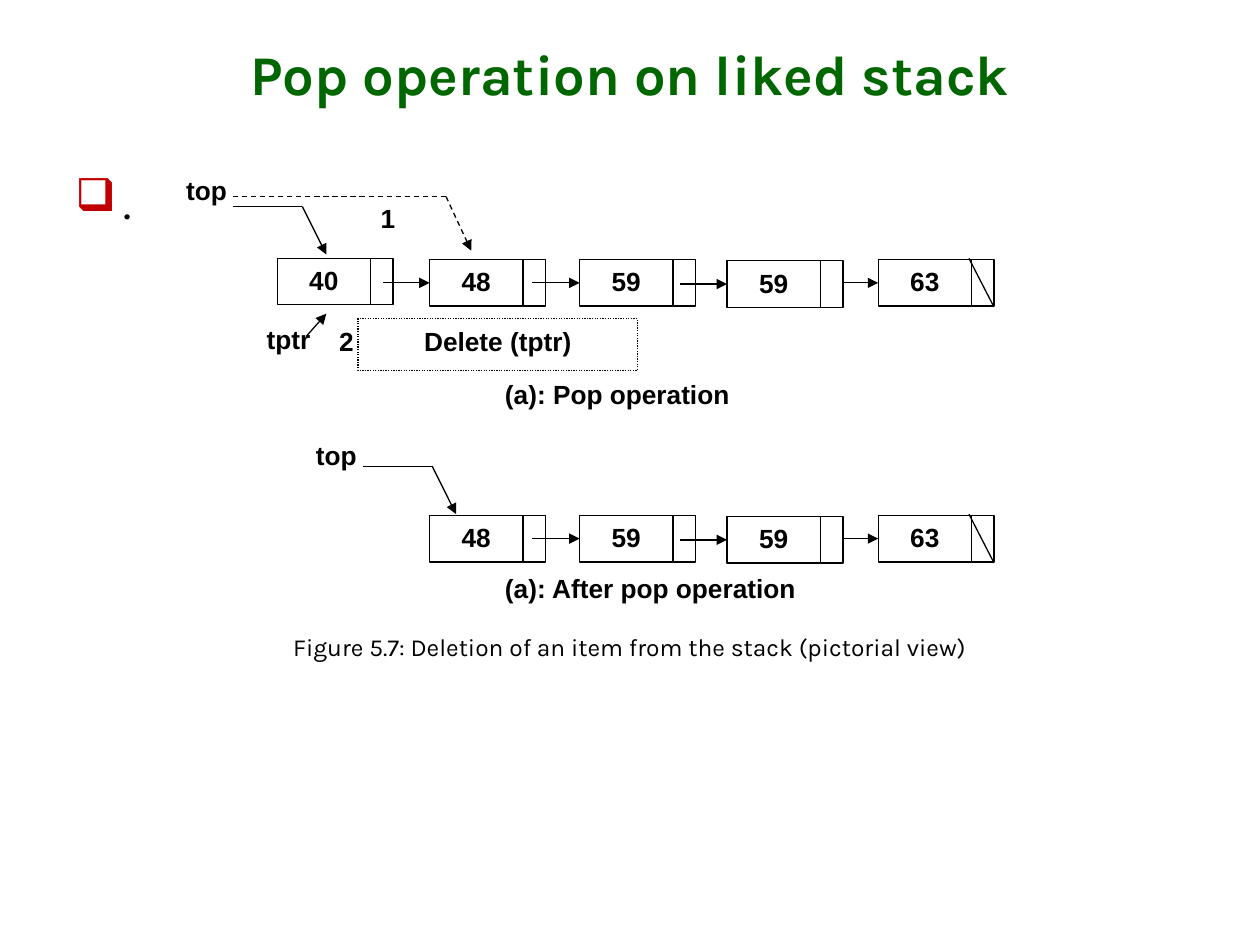
from lxml.etree import SubElement
from pptx import Presentation
from pptx.dml.color import RGBColor
from pptx.enum.dml import MSO_LINE
from pptx.enum.shapes import MSO_CONNECTOR, MSO_SHAPE
from pptx.enum.text import MSO_ANCHOR, PP_ALIGN
from pptx.oxml.ns import qn
from pptx.util import Inches, Pt

GREEN = RGBColor(0x00, 0x66, 0x00)
RED = RGBColor(0xC0, 0x00, 0x00)
BLACK = RGBColor(0, 0, 0)
WHITE = RGBColor(255, 255, 255)

TITLE = "Pop operation on liked stack"
CAPTION = "Figure 5.7: Deletion of an item from the stack (pictorial view)"

# text, left, top, width, alignment
LABELS = [
    ("(a): Pop operation", 3.91, 2.95, 2.6, PP_ALIGN.LEFT),
    ("2", 2.47, 2.53, 0.56, PP_ALIGN.CENTER),
    ("1", 2.8, 1.56, 0.56, PP_ALIGN.CENTER),
    ("top", 1.27, 1.33, 0.74, PP_ALIGN.CENTER),
    ("tptr", 1.92, 2.52, 0.74, PP_ALIGN.CENTER),
    ("top", 2.3, 3.44, 0.74, PP_ALIGN.CENTER),
    ("(a): After pop operation", 3.91, 4.49, 3.34, PP_ALIGN.LEFT),
]
# value, left, vertical shift, start of the link to the next node
NODES = [
    ("40", 2.2, -0.01, 3.04),
    ("48", 3.41, 0, 4.22),
    ("59", 4.6, 0, 5.4),
    ("59", 5.77, 0.01, 6.69),
    ("63", 6.97, 0, None),
]
# nodes, top of the row, left end and height of the "top" pointer
ROWS = [(NODES, 2.06, 1.85, 1.64), (NODES[1:], 4.09, 2.88, 3.7)]
DATA_W, LINK_W, NODE_H = 0.74, 0.18, 0.37


def style(p, text, size, font, color=BLACK, bold=False, align=PP_ALIGN.CENTER):
    p.text = text
    p.alignment = align
    f = p.runs[0].font
    f.size, f.name, f.bold = Pt(size), font, bold
    f.color.rgb = color


def add_box(x, y, w, h, text="", align=PP_ALIGN.CENTER, outlined=True):
    s = slide.shapes.add_shape(MSO_SHAPE.RECTANGLE, Inches(x), Inches(y), Inches(w), Inches(h))
    s.shadow.inherit = False
    s.fill.solid()
    s.fill.fore_color.rgb = WHITE
    if outlined:
        s.line.color.rgb = BLACK
        s.line.width = Pt(0.75)
    else:
        s.line.fill.background()
    if text:
        tf = s.text_frame
        tf.vertical_anchor = MSO_ANCHOR.TOP
        style(tf.paragraphs[0], text, 15, "Arial", bold=True, align=align)
    return s


def add_line(x1, y1, x2, y2, arrow=False, dashed=False):
    c = slide.shapes.add_connector(
        MSO_CONNECTOR.STRAIGHT, Inches(x1), Inches(y1), Inches(x2), Inches(y2))
    c.line.color.rgb = BLACK
    c.line.width = Pt(0.75)
    if dashed:
        c.line.dash_style = MSO_LINE.DASH
    if arrow:
        SubElement(c.line._get_or_add_ln(), qn("a:tailEnd"), type="triangle")
    SubElement(c._element.spPr, qn("a:effectLst"))


def add_row(nodes, top, pointer_x, pointer_y):
    for value, x, shift, _ in nodes:
        add_box(x, top + shift, DATA_W, NODE_H, value)
        add_box(x + DATA_W, top + shift, LINK_W, NODE_H)
    for (_, _, _, start), (_, x, shift, _) in zip(nodes, nodes[1:]):
        y = top + shift + NODE_H / 2
        add_line(start, y, x, y, arrow=True)
    last_x = nodes[-1][1]
    add_line(last_x + 0.72, top - 0.01, last_x + 0.91, top + 0.36)
    bend = pointer_x + 0.55
    add_line(pointer_x, pointer_y, bend, pointer_y)
    add_line(bend, pointer_y, bend + 0.19, pointer_y + 0.38, arrow=True)


def add_text(x, y, w, h):
    tf = slide.shapes.add_textbox(Inches(x), Inches(y), Inches(w), Inches(h)).text_frame
    tf.word_wrap = True
    return tf.paragraphs[0]


prs = Presentation()
prs.slide_width, prs.slide_height = Inches(10), Inches(7.5)
slide = prs.slides.add_slide(prs.slide_layouts[5])

title = slide.shapes.title
title.left, title.top, title.width, title.height = map(Inches, (0.5, 0.08, 9, 1))
title.text_frame.vertical_anchor = MSO_ANCHOR.MIDDLE
style(title.text_frame.paragraphs[0], TITLE, 32, "Karla", GREEN, bold=True)

bullet = add_text(0.5, 1.33, 0.75, 0.55)
pPr = bullet._p.get_or_add_pPr()
pPr.set("marL", str(Inches(0.38)))
pPr.set("indent", str(-Inches(0.38)))
SubElement(SubElement(pPr, qn("a:buClr")), qn("a:srgbClr"), val=str(RED))
SubElement(pPr, qn("a:buChar"), char="❑")
style(bullet, ".", 26, "Karla", align=PP_ALIGN.LEFT)

style(add_text(0.5, 4.97, 9, 0.35), CAPTION, 14, "Karla")

for text, x, y, w, align in LABELS:
    add_box(x, y, w, 0.41, text, align, outlined=False)
add_box(2.84, 2.53, 2.22, 0.41, "Delete (tptr)").line.dash_style = MSO_LINE.ROUND_DOT

for row in ROWS:
    add_row(*row)

add_line(2.43, 2.67, 2.59, 2.49, arrow=True)
add_line(1.85, 1.56, 3.54, 1.56, dashed=True)
add_line(3.54, 1.56, 3.74, 1.99, arrow=True, dashed=True)

prs.save("out.pptx")
